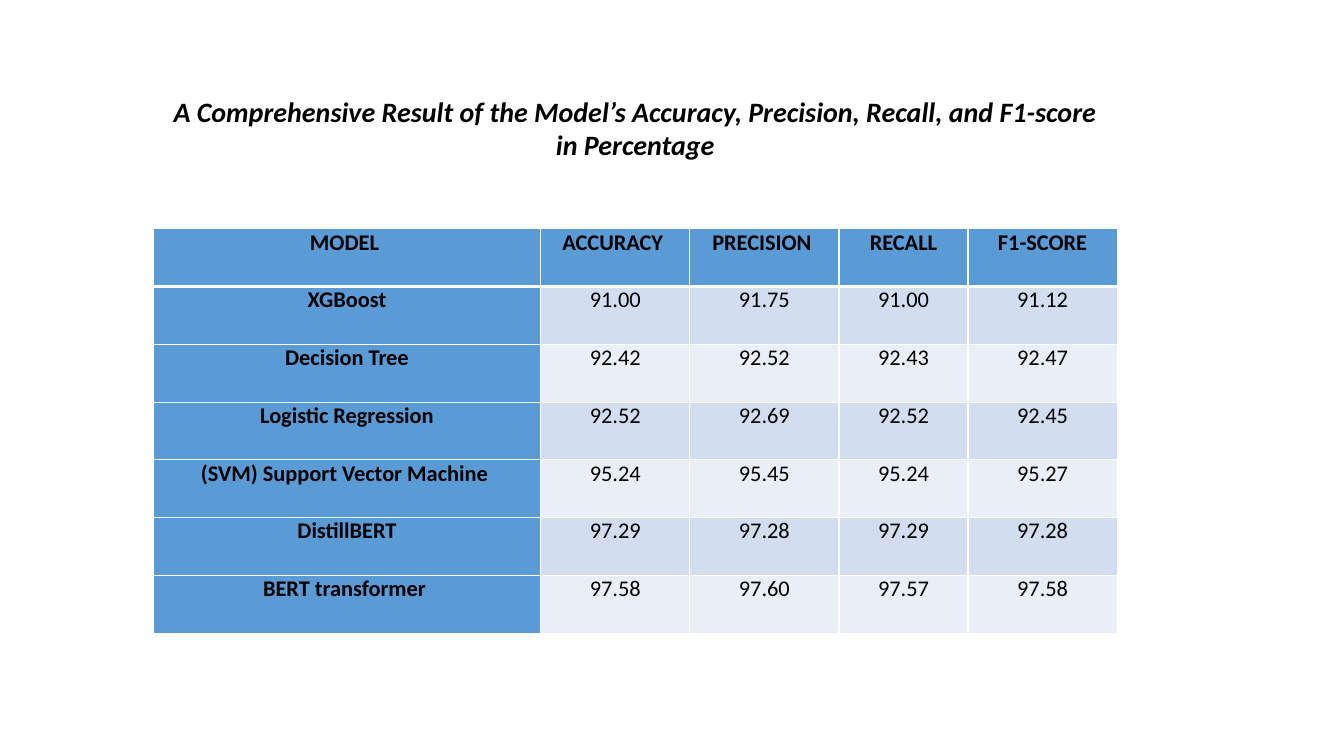
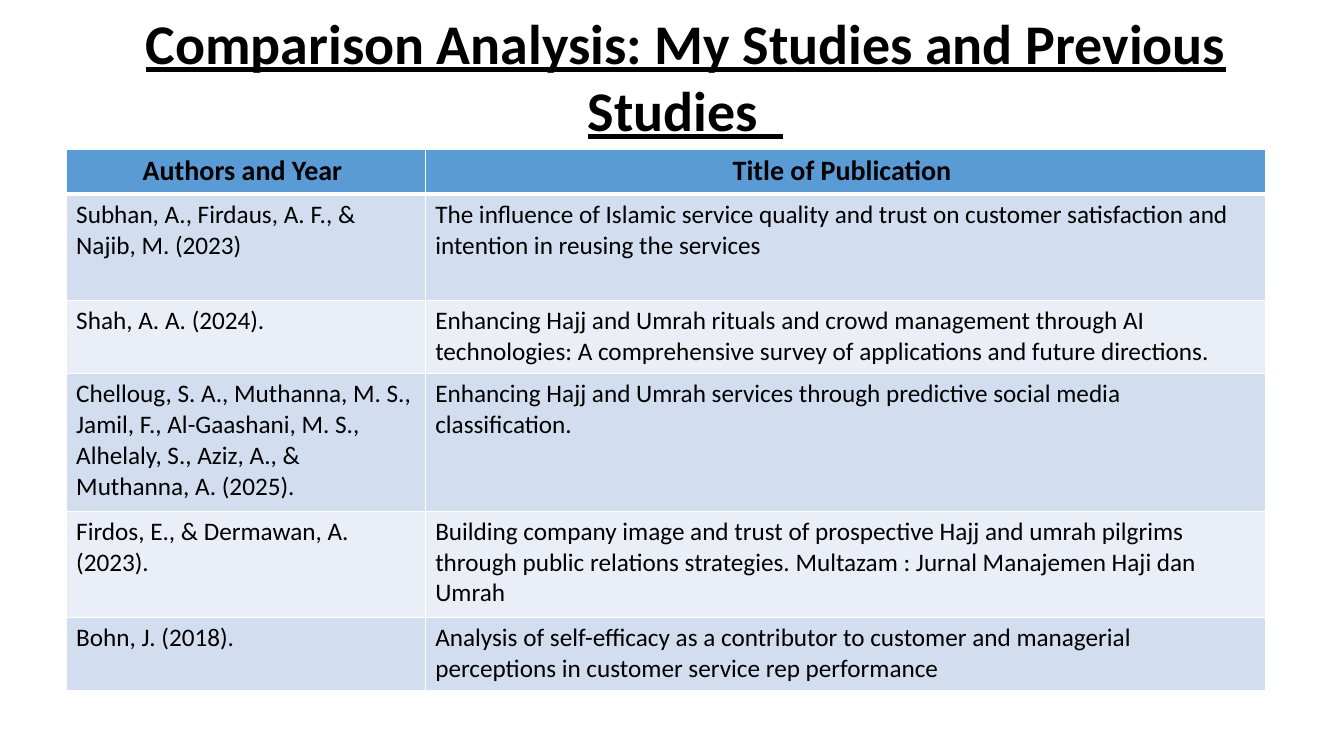
from lxml import etree
from pptx import Presentation
from pptx.dml.color import RGBColor
from pptx.enum.text import PP_ALIGN
from pptx.oxml.ns import qn
from pptx.util import Emu, Pt

# Shared look
EMU_PER_PX = 9525
SLIDE_WIDTH, SLIDE_HEIGHT = 1280, 720
FONT = "Calibri"
BLACK, WHITE = "000000", "FFFFFF"
HEADER_FILL = "5B9BD5"
BAND_FILLS = ("D2DEEF", "EAEFF7")
THIN, THICK = 1, 3
CENTER, LEFT = PP_ALIGN.CENTER, PP_ALIGN.LEFT

# Slide content
RESULTS_TITLE = (
    "A Comprehensive Result of the Model’s Accuracy, Precision, Recall, "
    "and F1-score in Percentage"
)
RESULTS = [
    ("MODEL ", "ACCURACY ", "PRECISION ", "RECALL", "F1-SCORE"),
    ("XGBoost", "91.00", "91.75", "91.00", "91.12"),
    ("Decision Tree", "92.42", "92.52", "92.43", "92.47"),
    ("Logistic Regression", "92.52", "92.69", "92.52", "92.45"),
    ("(SVM) Support Vector Machine ", "95.24", "95.45", "95.24", "95.27"),
    ("DistillBERT", "97.29", "97.28", "97.29", "97.28"),
    ("BERT transformer ", "97.58", "97.60", "97.57", "97.58"),
]
STUDIES_TITLE = "Comparison Analysis: My Studies and Previous Studies  "
STUDIES = [
    ("Authors and Year ", "Title of Publication "),
    ("Subhan, A., Firdaus, A. F., & Najib, M. (2023)",
     "The influence of Islamic service quality and trust on customer "
     "satisfaction and intention in reusing the services"),
    ("Shah, A. A. (2024).",
     "Enhancing Hajj and Umrah rituals and crowd management through AI "
     "technologies: A comprehensive survey of applications and future directions."),
    ("Chelloug, S. A., Muthanna, M. S., Jamil, F., Al-Gaashani, M. S., "
     "Alhelaly, S., Aziz, A., & Muthanna, A. (2025).",
     "Enhancing Hajj and Umrah services through predictive social media "
     "classification."),
    ("Firdos, E., & Dermawan, A. (2023).",
     "Building company image and trust of prospective Hajj and umrah pilgrims "
     "through public relations strategies. Multazam : Jurnal Manajemen Haji dan "
     "Umrah"),
    ("Bohn, J. (2018).",
     "Analysis of self-efficacy as a contributor to customer and managerial "
     "perceptions in customer service rep performance"),
]


def px(length):
    return Emu(length * EMU_PER_PX)


def color(hex_value):
    return RGBColor.from_string(hex_value)


def format_text(text_frame, size, bold, alignment, italic=False, underline=False):
    paragraph = text_frame.paragraphs[0]
    paragraph.alignment = alignment
    font = paragraph.runs[0].font
    font.name, font.size = FONT, Pt(size)
    font.bold, font.italic, font.underline = bold, italic, underline
    font.color.rgb = color(BLACK)


def add_title(slide, text, left, top, width, height, size, **style):
    text_frame = slide.shapes.add_textbox(
        px(left), px(top), px(width), px(height)).text_frame
    text_frame.word_wrap = True
    text_frame.text = text
    format_text(text_frame, size, True, CENTER, **style)


def set_borders(cell, top, bottom):
    """Draw white cell borders; schema order puts them before the fill."""
    properties = cell._tc.get_or_add_tcPr()
    sides = (("a:lnL", THIN), ("a:lnR", THIN), ("a:lnT", top), ("a:lnB", bottom))
    for index, (tag, width) in enumerate(sides):
        line = etree.Element(qn(tag), w=str(Pt(width)))
        fill = etree.SubElement(line, qn("a:solidFill"))
        etree.SubElement(fill, qn("a:srgbClr"), val=WHITE)
        properties.insert(index, line)


def add_table(slide, rows, left, top, widths, heights, header_size, body_size,
              body_alignment, header_column=False, margins=None):
    table = slide.shapes.add_table(
        len(rows), len(widths), px(left), px(top),
        px(sum(widths)), px(sum(heights))).table
    table.first_col = header_column
    for column, width in zip(table.columns, widths):
        column.width = px(width)
    for row_index, (row, height) in enumerate(zip(rows, heights)):
        table.rows[row_index].height = px(height)
        is_header_row = row_index == 0
        for column_index, text in enumerate(row):
            cell = table.cell(row_index, column_index)
            is_header = is_header_row or (header_column and column_index == 0)
            cell.text = text
            format_text(cell.text_frame,
                        header_size if is_header_row else body_size, is_header,
                        CENTER if is_header_row else body_alignment)
            cell.fill.solid()
            band = BAND_FILLS[(row_index - 1) % 2]
            cell.fill.fore_color.rgb = color(HEADER_FILL if is_header else band)
            if margins:
                side, vertical = margins
                cell.margin_left = cell.margin_right = px(side)
                cell.margin_top = cell.margin_bottom = px(vertical)
            set_borders(cell, THICK if row_index == 1 else THIN,
                        THICK if is_header_row else THIN)


def add_results_slide(slide):
    add_title(slide, RESULTS_TITLE, 146, 85, 918, 74, 20, italic=True)
    add_table(slide, RESULTS, 146, 218, (369, 142, 142, 123, 142),
              [55] * len(RESULTS), 16, 16, CENTER,
              header_column=True, margins=(7, 0))


def add_studies_slide(slide):
    add_title(slide, STUDIES_TITLE, 63, 3, 1180, 139, 40, underline=True)
    add_table(slide, STUDIES, 63, 142, (342, 800),
              (43, 101, 70, 131, 101, 70), 20, 18, LEFT)


def main():
    presentation = Presentation()
    presentation.slide_width = px(SLIDE_WIDTH)
    presentation.slide_height = px(SLIDE_HEIGHT)
    blank_layout = presentation.slide_layouts[6]
    for build in (add_results_slide, add_studies_slide):
        build(presentation.slides.add_slide(blank_layout))
    presentation.save("out.pptx")


if __name__ == "__main__":
    main()
